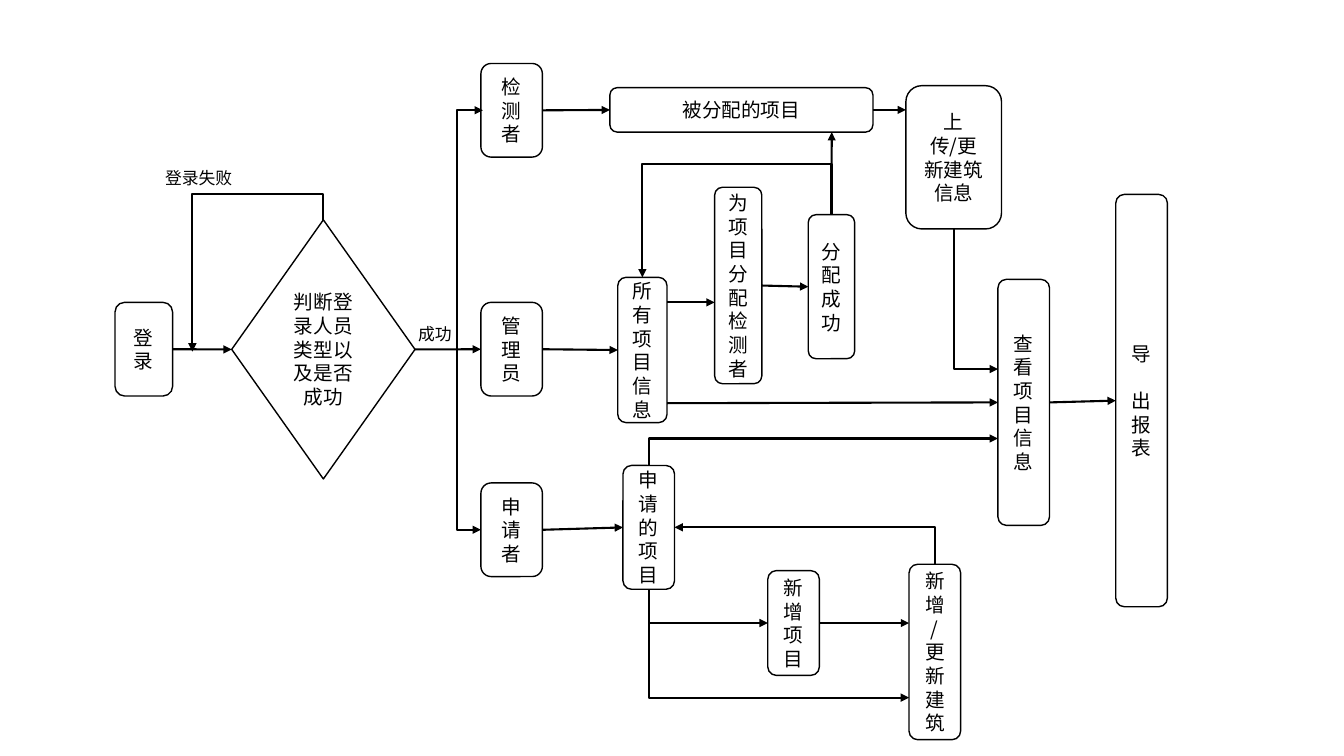
from lxml import etree
from pptx import Presentation
from pptx import util as u
from pptx.dml import color
from pptx.enum import shapes, text
from pptx.oxml import ns

SIZE = (33.87, 19.05)

# name: (text, left, top, width, height), lengths in centimetres
BOXES = {
    "judge": ("判断登录人员类型以及是否成功", 5.84, 5.54, 4.62, 6.53),
    "login": ("登录", 2.9, 7.62, 1.45, 2.36),
    "inspector": ("检测者", 12.12, 1.6, 1.55, 2.36),
    "manager": ("管理员", 12.12, 7.62, 1.55, 2.36),
    "applicant": ("申请者", 12.12, 12.17, 1.55, 2.36),
    "assigned": ("被分配的项目", 15.37, 2.21, 6.63, 1.12),
    "upload": ("上传/更新建筑信息", 22.83, 2.16, 2.41, 3.61),
    "all": ("所有项目信息", 15.57, 6.99, 1.24, 3.66),
    "assign": ("为项目分配检测者", 18.01, 4.72, 1.19, 4.95),
    "success": ("分配成功", 20.37, 5.41, 1.17, 3.63),
    "applied": ("申请的项目", 15.7, 11.73, 1.3, 3.12),
    "project": ("新增项目", 19.35, 14.38, 1.3, 2.64),
    "building": ("新增/更新建筑", 22.91, 14.22, 1.3, 4.42),
    "view": ("查看项目信息", 25.15, 7.04, 1.3, 6.2),
    "export": ("导\n出报表", 28.12, 4.9, 1.3, 10.39),
}

LABELS = [
    ("登录失败", 3.91, 4.09, 2.59, 0.76),
    ("成功", 10.29, 8.03, 1.45, 0.76),
]

# An end is (box, side), (box, side, position along that side) or (x, y)
STRAIGHT = [
    (("login", "right"), ("judge", "left")),
    (("judge", "right"), ("manager", "left")),
    (("manager", "right"), ("all", "left")),
    (("applicant", "right"), ("applied", "left")),
    (("inspector", "right"), ("assigned", "left")),
    (("assigned", "right"), ("upload", "left", 2.77)),
    (("all", "right", 7.62), ("assign", "left", 7.62)),
    (("all", "right", 10.16), ("view", "left")),
    (("assign", "right"), ("success", "left")),
    (("success", "top"), ("assigned", "bottom", 20.96)),
    (("project", "right"), ("building", "left", 15.7)),
    (("view", "right"), ("export", "left")),
]

# start, end, and the level of the middle run (None: a single corner)
UPRIGHT_ELBOWS = [
    (("judge", "top"), (4.85, 8.86), 4.9),
    (("success", "top"), ("all", "top"), 4.14),
    (("applied", "bottom"), ("project", "left"), None),
    (("applied", "bottom"), ("building", "left", 17.58), None),
    (("applied", "top"), ("view", "left", 11.05), None),
    (("building", "top"), ("applied", "right"), None),
    (("upload", "bottom"), ("view", "left", 9.3), None),
]

ROLE_BRANCH = ((12.17, 2.78), ("applicant", "left"), 11.53)

THEME = {
    "font": "Noto Sans CJK SC",
    "ink": color.RGBColor(0, 0, 0),
    "paper": color.RGBColor(255, 255, 255),
    "box_size": 14,
    "label_size": 12,
    "leading": 1.21,
    "outline": 1,
    "arrow": 1.5,
}


def cm(*lengths):
    """Turn centimetre numbers into lengths."""
    return [u.Cm(length) for length in lengths]


def write(frame, words, size, align, anchor):
    """Write one paragraph per line of words, a line apart."""
    frame.word_wrap = True
    frame.vertical_anchor = anchor
    lines = words.split("\n")
    leading = u.Pt(round(size * THEME["leading"], 1))
    for number, line in enumerate(lines):
        para = frame.paragraphs[0] if number == 0 else frame.add_paragraph()
        para.alignment = align
        para.line_spacing = leading
        if number < len(lines) - 1:
            para.space_after = leading
        span = para.add_run()
        span.text = line
        span.font.size = u.Pt(size)
        span.font.name = THEME["font"]
        span.font.color.rgb = THEME["ink"]
        east = etree.SubElement(span.font._element, ns.qn("a:ea"))
        east.set("typeface", THEME["font"])


def add_box(page, name, words, *place):
    """Draw one step of the flow."""
    kinds = shapes.MSO_SHAPE
    kind = kinds.FLOWCHART_DECISION if name == "judge" else kinds.ROUNDED_RECTANGLE
    box = page.shapes.add_shape(kind, *cm(*place))
    box.shadow.inherit = False
    box.fill.solid()
    box.fill.fore_color.rgb = THEME["paper"]
    box.line.color.rgb = THEME["ink"]
    box.line.width = u.Pt(THEME["outline"])
    write(box.text_frame, words, size=THEME["box_size"],
          align=text.PP_ALIGN.CENTER, anchor=text.MSO_ANCHOR.MIDDLE)


def add_label(page, words, *place):
    """Add a caption beside an arrow."""
    label = page.shapes.add_textbox(*cm(*place))
    write(label.text_frame, words, size=THEME["label_size"],
          align=text.PP_ALIGN.LEFT, anchor=text.MSO_ANCHOR.TOP)


def locate(end):
    """Give the point that an arrow end stands for."""
    if not isinstance(end[0], str):
        return end
    name, side, *position = end
    left, top, width, height = BOXES[name][1:]
    if side in ("left", "right"):
        x = left if side == "left" else left + width
        return x, position[0] if position else top + height / 2
    y = top if side == "top" else top + height
    return position[0] if position else left + width / 2, y


def add_arrow(page, start, end, kind=shapes.MSO_CONNECTOR.STRAIGHT, heads=("tailEnd",)):
    """Draw a connector with triangle heads."""
    arrow = page.shapes.add_connector(kind, *cm(*start, *end))
    arrow.line.color.rgb = THEME["ink"]
    arrow.line.width = u.Pt(THEME["arrow"])
    properties = arrow.element.spPr
    for head in heads:
        etree.SubElement(properties.find(ns.qn("a:ln")), ns.qn("a:" + head), type="triangle")
    etree.SubElement(properties, ns.qn("a:effectLst"))
    return arrow


def bend(arrow, share):
    """Place the middle run at a share of the way, or leave one corner."""
    geometry = arrow.element.spPr.find(ns.qn("a:prstGeom"))
    if share is None:
        geometry.set("prst", "bentConnector2")
        return
    guides = geometry.find(ns.qn("a:avLst"))
    etree.SubElement(guides, ns.qn("a:gd"), name="adj1", fmla=f"val {round(share * 100000)}")


def add_upright_elbow(page, start, end, level):
    """Draw an elbow that leaves vertically: a level one turned by 270 degrees."""
    (x1, y1), (x2, y2) = start, end
    middle_x, middle_y = (x1 + x2) / 2, (y1 + y2) / 2
    half_x, half_y = (x2 - x1) / 2, (y2 - y1) / 2
    arrow = add_arrow(page, (middle_x + half_y, middle_y - half_x),
                      (middle_x - half_y, middle_y + half_x), shapes.MSO_CONNECTOR.ELBOW)
    arrow.element.spPr.find(ns.qn("a:xfrm")).set("rot", str(270 * 60000))
    bend(arrow, None if level is None else (level - y1) / (y2 - y1))


def add_role_branch(page, start, end, level):
    """Draw the two-headed branch to the outer roles."""
    arrow = add_arrow(page, start, end, shapes.MSO_CONNECTOR.ELBOW, ("headEnd", "tailEnd"))
    bend(arrow, (level - start[0]) / (end[0] - start[0]))


def main():
    """Build the flow chart and save it."""
    deck = Presentation()
    deck.slide_width, deck.slide_height = cm(*SIZE)
    page = deck.slides.add_slide(deck.slide_layouts[6])
    for name, box in BOXES.items():
        add_box(page, name, *box)
    for label in LABELS:
        add_label(page, *label)
    for start, end in STRAIGHT:
        add_arrow(page, locate(start), locate(end))
    for start, end, level in UPRIGHT_ELBOWS:
        add_upright_elbow(page, locate(start), locate(end), level)
    start, end, level = ROLE_BRANCH
    add_role_branch(page, locate(start), locate(end), level)
    deck.save("out.pptx")


main()
